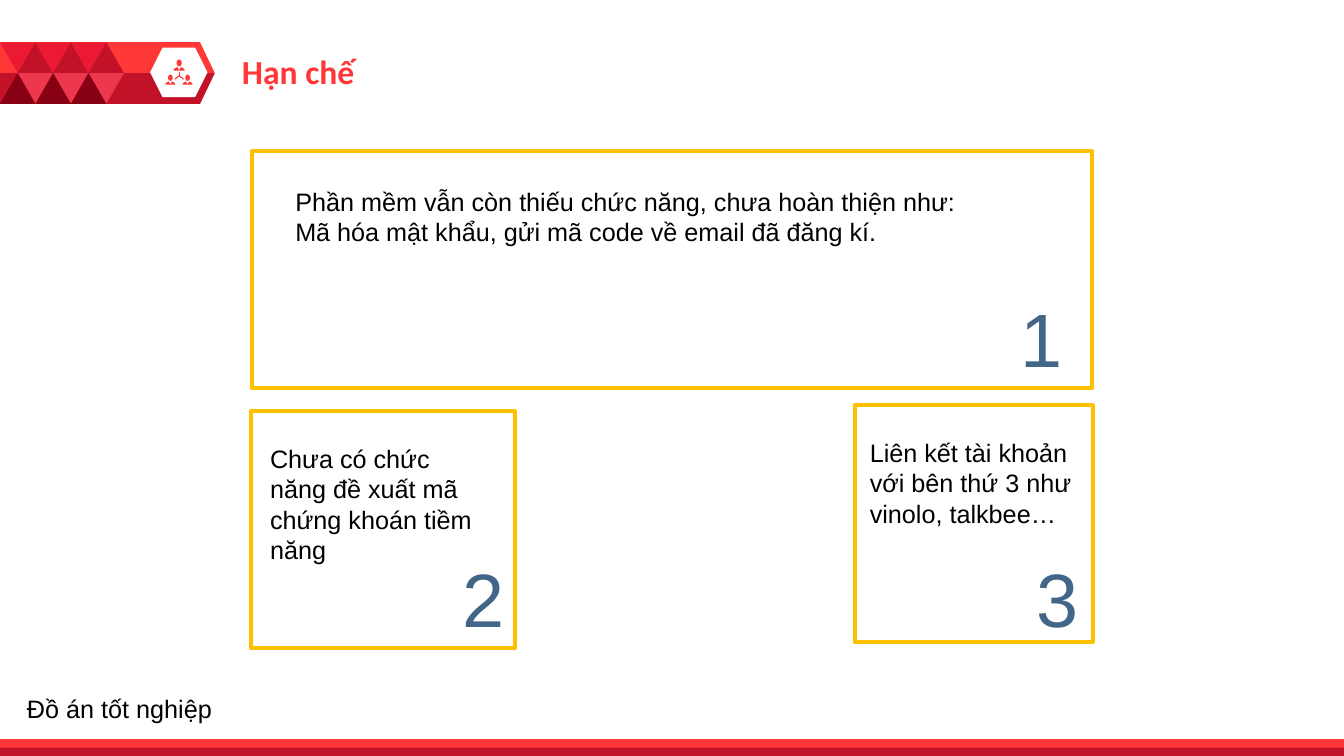
from pptx import Presentation
from pptx.dml.color import RGBColor
from pptx.enum.shapes import MSO_CONNECTOR, MSO_SHAPE
from pptx.enum.text import MSO_ANCHOR, MSO_AUTO_SIZE, PP_ALIGN
from pptx.oxml.ns import qn
from pptx.util import Pt
from lxml import etree

RECTANGLE, OVAL = MSO_SHAPE.RECTANGLE, MSO_SHAPE.OVAL
PENTAGON, HEXAGON = MSO_SHAPE.PENTAGON, MSO_SHAPE.HEXAGON
TRIANGLE = MSO_SHAPE.ISOSCELES_TRIANGLE
STRAIGHT = MSO_CONNECTOR.STRAIGHT
LEFT, RIGHT = PP_ALIGN.LEFT, PP_ALIGN.RIGHT
TOP = MSO_ANCHOR.TOP
NO_AUTOSIZE = MSO_AUTO_SIZE.NONE

RED = RGBColor(0xFF, 0x37, 0x37)
DARK_RED = RGBColor(0xC2, 0x12, 0x27)
CRIMSON = RGBColor(0xEB, 0x19, 0x32)
ROSE = RGBColor(0xED, 0x37, 0x4D)
MAROON = RGBColor(0x88, 0x00, 0x14)
AMBER = RGBColor(0xFF, 0xC0, 0x00)
SLATE = RGBColor(0x42, 0x66, 0x87)
WHITE = RGBColor(0xFF, 0xFF, 0xFF)
BLACK = RGBColor(0, 0, 0)

TITLE = "Hạn chế"
FOOTER = "Đồ án tốt nghiệp"
LIMITATIONS = [
    {
        "number": "1",
        "lines": [
            "Phần mềm vẫn còn thiếu chức năng, chưa hoàn thiện như:",
            "Mã hóa mật khẩu, gửi mã code về email đã đăng kí.",
        ],
        "frame": (180, 108, 599.8, 169.2),
        "text": (203.8, 129.6, 498.2, 51),
        "number_at": (648, 205.2),
    },
    {
        "number": "2",
        "lines": ["Chưa có chức năng đề xuất mã chứng khoán tiềm năng"],
        "frame": (179.3, 293.8, 188.6, 169.2),
        "text": (185.8, 313.2, 158.4, 94.3),
        "number_at": (249.8, 391),
    },
    {
        "number": "3",
        "lines": ["Liên kết tài khoản với bên thứ 3 như vinolo, talkbee…"],
        "frame": (610.6, 289.4, 169.9, 169.2),
        "text": (614.2, 308.9, 169.9, 116.6),
        "number_at": (659.5, 391),
    },
]
NUMBER_SIZE = (118, 72.7)

SLIDE_WIDTH, SLIDE_HEIGHT = 960, 540
BANNER_TOP, BANNER_WIDTH, BANNER_HEIGHT = 30.2, 153.4, 44
BANNER_MIDDLE = BANNER_TOP + BANNER_HEIGHT / 2
TRIANGLE_WIDTH, TRIANGLE_HEIGHT = 25.3, 22
TRIANGLE_PAIRS = 3
TRIANGLES = [
    (0, BANNER_TOP, 180, CRIMSON),
    (0.5, BANNER_TOP, 0, DARK_RED),
    (0.5, BANNER_MIDDLE, 180, ROSE),
    (0, BANNER_MIDDLE, 0, MAROON),
]
PEOPLE = [(128, 42.5, 8), (121.7, 53.3, 7.2), (134, 53.3, 7.2)]
SHOULDERS = [
    (-0.5, 1), (-0.45, 0.83), (-0.15, 0.68), (0, 0.98),
    (0.15, 0.68), (0.45, 0.83), (0.5, 1),
]
HUB = (128, 54.2)
SPOKE_ENDS = [(128, 51.3), (124.8, 56.6), (131.2, 56.6)]


def set_style(shape, fill=None, line=None):
    shape.shadow.inherit = False
    if fill is None:
        shape.fill.background()
    else:
        shape.fill.solid()
        shape.fill.fore_color.rgb = fill
    if line is None:
        shape.line.fill.background()
    else:
        shape.line.color.rgb = line
        shape.line.width = Pt(3)


def add_shape(slide, kind, box, fill=None, line=None):
    shape = slide.shapes.add_shape(kind, *map(Pt, box))
    set_style(shape, fill, line)
    return shape


def add_outline(slide, points, fill):
    points = [(Pt(x), Pt(y)) for x, y in points]
    builder = slide.shapes.build_freeform(*points[0], scale=1.0)
    builder.add_line_segments(points[1:], close=True)
    set_style(builder.convert_to_shape(), fill)


def write_text(shape, lines, size=18, color=BLACK, font="Arial", bold=False,
               align=LEFT):
    frame = shape.text_frame
    frame.word_wrap = True
    frame.auto_size = NO_AUTOSIZE
    frame.vertical_anchor = TOP
    for index, line in enumerate(lines):
        paragraph = frame.add_paragraph() if index else frame.paragraphs[0]
        paragraph.alignment = align
        run = paragraph.add_run()
        run.text = line
        run.font.size = Pt(size)
        run.font.name = font
        run.font.bold = bold
        run.font.color.rgb = color


def add_text(slide, box, lines, **style):
    write_text(slide.shapes.add_textbox(*map(Pt, box)), lines, **style)


def add_person(slide, center, top, size):
    head = size * 0.46
    add_shape(slide, OVAL, (center - head / 2, top, head, size * 0.62), RED)
    add_outline(
        slide, [(center + x * size, top + y * size) for x, y in SHOULDERS], RED)


def add_banner(slide):
    arrow = add_shape(
        slide, PENTAGON, (0, BANNER_TOP, BANNER_WIDTH, BANNER_HEIGHT), RED)
    arrow.adjustments[0] = 0.239
    bottom = BANNER_TOP + BANNER_HEIGHT
    add_outline(slide, [(0, BANNER_MIDDLE), (BANNER_WIDTH, BANNER_MIDDLE),
                        (142.8, bottom), (0, bottom)], DARK_RED)
    badge = add_shape(slide, HEXAGON, (107.3, 34, 41, 35.5), WHITE)
    badge.adjustments[0] = 0.25
    for person in PEOPLE:
        add_person(slide, *person)
    for end in SPOKE_ENDS:
        spoke = slide.shapes.add_connector(STRAIGHT, *map(Pt, HUB + end))
        spoke.line.color.rgb = RED
        spoke.line.width = Pt(0.75)
        etree.SubElement(spoke._element.spPr, qn("a:effectLst"))
    for pair in range(TRIANGLE_PAIRS):
        for shift, top, rotation, color in TRIANGLES:
            left = (pair + shift) * TRIANGLE_WIDTH
            triangle = add_shape(
                slide, TRIANGLE, (left, top, TRIANGLE_WIDTH, TRIANGLE_HEIGHT), color)
            triangle.rotation = rotation


def main():
    presentation = Presentation()
    presentation.slide_width = Pt(SLIDE_WIDTH)
    presentation.slide_height = Pt(SLIDE_HEIGHT)
    slide = presentation.slides.add_slide(presentation.slide_layouts[5])

    title = slide.shapes.title
    title.left, title.top, title.width, title.height = map(
        Pt, (165.6, 32.4, 303.8, 36))
    write_text(title, [TITLE], size=24, color=RED, font="Calibri", bold=True)

    add_banner(slide)
    add_shape(slide, RECTANGLE, (0, 528, SLIDE_WIDTH, 12), RED)
    add_shape(slide, RECTANGLE, (0, 534, SLIDE_WIDTH, 6), DARK_RED)

    for item in LIMITATIONS:
        add_shape(slide, RECTANGLE, item["frame"], line=AMBER)
        add_text(slide, item["text"], item["lines"])
        add_text(slide, item["number_at"] + NUMBER_SIZE, [item["number"]],
                 size=54, color=SLATE, align=RIGHT)
    add_text(slide, (12.2, 491.8, 203.8, 28.8), [FOOTER])

    presentation.save("out.pptx")


if __name__ == "__main__":
    main()
